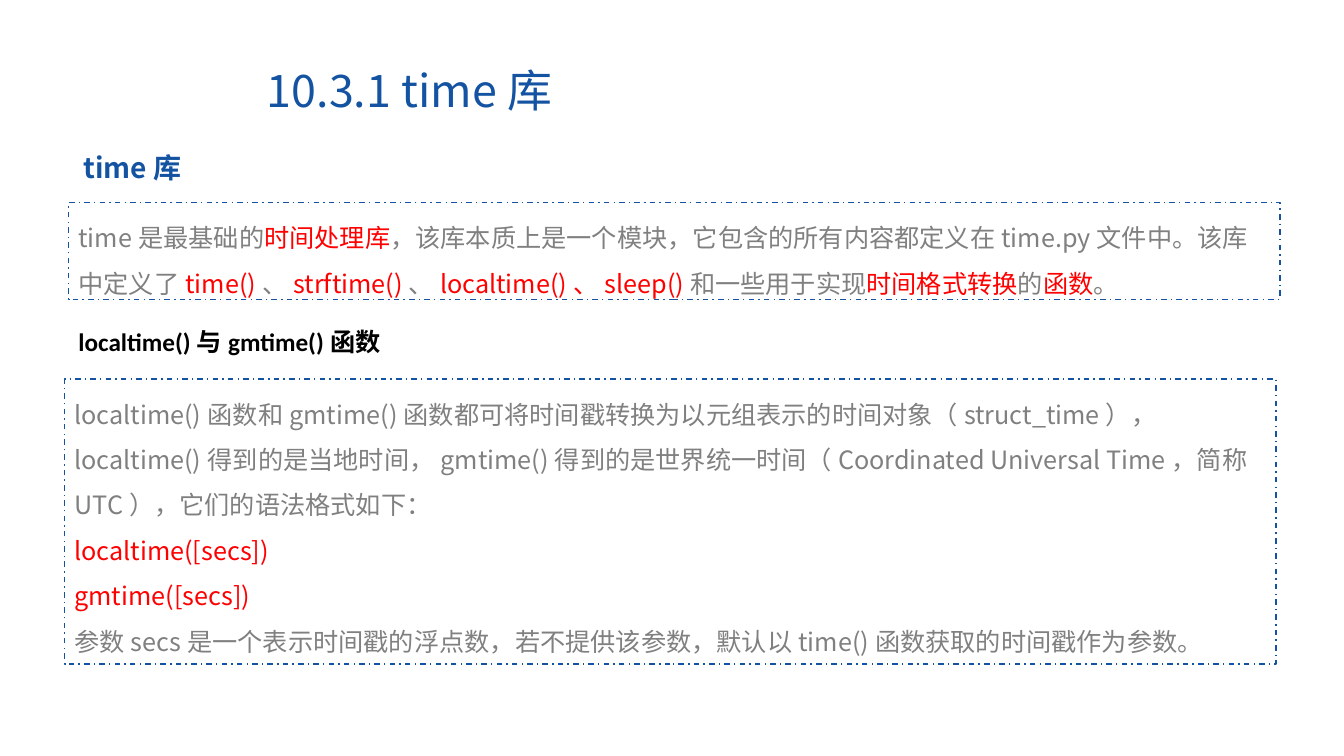
from dataclasses import dataclass

from lxml import etree
from pptx import Presentation
from pptx.dml.color import RGBColor
from pptx.enum.dml import MSO_LINE
from pptx.enum.shapes import MSO_SHAPE
from pptx.enum.text import MSO_ANCHOR, MSO_AUTO_SIZE, PP_ALIGN
from pptx.oxml.ns import qn
from pptx.shapes.autoshape import Shape
from pptx.slide import Slide
from pptx.util import Inches, Pt

DASH_DOT = MSO_LINE.DASH_DOT
RECTANGLE = MSO_SHAPE.RECTANGLE
TOP, MIDDLE = MSO_ANCHOR.TOP, MSO_ANCHOR.MIDDLE
GROW = MSO_AUTO_SIZE.SHAPE_TO_FIT_TEXT
LEFT = PP_ALIGN.LEFT

SLIDE_WIDTH, SLIDE_HEIGHT = Inches(13.33), Inches(7.5)
COLUMNS, ROWS = 160, 90
COLORS = {"blue": "1353A2", "grey": "808080", "red": "FF0000", "black": "000000"}
CHINESE_FONT = "Noto Sans CJK SC"
HIGHLIGHT_MARK = "|"


@dataclass(frozen=True)
class Area:
    """A place on the slide grid, in columns and rows."""

    column: float
    row: float
    columns: float
    rows: float


@dataclass(frozen=True)
class Heading:
    """A line of text with its format."""

    area: Area
    text: str
    size: int
    color: str = "blue"
    bold: bool = True
    font: str = CHINESE_FONT
    spacing: float = 1.5
    anchor: MSO_ANCHOR = TOP


@dataclass(frozen=True)
class Panel:
    """A dashed frame whose paragraphs mark highlights with bars."""

    area: Area
    paragraphs: tuple[str, ...]


HEADINGS = (
    Heading(Area(30.6, 7.56, 109.7, 7.08), "10.3.1 time库", 32,
            bold=False, spacing=0.9, anchor=MIDDLE),
    Heading(Area(8.76, 15.36, 59.04, 6.6), "time库", 20),
    Heading(Area(8.16, 36.48, 59.04, 6), "localtime()与gmtime()函数", 18,
            color="black", font="Calibri"),
)
PANELS = (
    Panel(Area(8.16, 24.12, 144.24, 11.52), (
        "time是最基础的|时间处理库|，该库本质上是一个模块，它包含的所有内容都定义在time.py文件中。"
        "该库中定义了|time()|、|strftime()|、|localtime()、sleep()|和一些用于实现"
        "|时间格式转换|的|函数|。",
    )),
    Panel(Area(7.68, 45.12, 144.24, 33.96), (
        "localtime()函数和gmtime()函数都可将时间戳转换为以元组表示的时间对象（struct_time），"
        "localtime()得到的是当地时间，gmtime()得到的是世界统一时间"
        "（Coordinated Universal Time，简称UTC），它们的语法格式如下：",
        "|localtime([secs])|",
        "|gmtime([secs])|",
        "参数secs是一个表示时间戳的浮点数，若不提供该参数，默认以time()函数获取的时间戳作为参数。",
    )),
)


def place(area: Area) -> tuple[int, int, int, int]:
    """Turn grid units into slide lengths."""
    column, row = SLIDE_WIDTH / COLUMNS, SLIDE_HEIGHT / ROWS
    return (round(area.column * column), round(area.row * row),
            round(area.columns * column), round(area.rows * row))


def write_text(shape: Shape, paragraphs: tuple[str, ...], *, size: int, color: str,
               bold: bool = False, font: str = CHINESE_FONT, spacing: float = 1.5,
               anchor: MSO_ANCHOR = TOP) -> None:
    """Fill a shape with paragraphs, colouring the marked parts red."""
    frame = shape.text_frame
    frame.word_wrap = True
    frame.auto_size = GROW
    frame.vertical_anchor = anchor
    for index, text in enumerate(paragraphs):
        paragraph = frame.add_paragraph() if index else frame.paragraphs[0]
        paragraph.alignment = LEFT
        paragraph.line_spacing = spacing
        for position, part in enumerate(text.split(HIGHLIGHT_MARK)):
            if not part:
                continue
            run = paragraph.add_run()
            run.text = part
            run.font.size = Pt(size)
            run.font.bold = bold
            run_color = "red" if position % 2 else color
            run.font.color.rgb = RGBColor.from_string(COLORS[run_color])
            run.font.name = font
            properties = run._r.get_or_add_rPr()
            etree.SubElement(properties, qn("a:ea"), typeface=CHINESE_FONT)


def draw_heading(slide: Slide, heading: Heading) -> None:
    """Add a heading as a text box."""
    shape = slide.shapes.add_textbox(*place(heading.area))
    write_text(shape, (heading.text,), size=heading.size, color=heading.color,
               bold=heading.bold, font=heading.font, spacing=heading.spacing,
               anchor=heading.anchor)


def draw_panel(slide: Slide, panel: Panel) -> None:
    """Add a dash-dot frame with its text."""
    shape = slide.shapes.add_shape(RECTANGLE, *place(panel.area))
    shape.shadow.inherit = False
    shape.fill.background()
    shape.line.color.rgb = RGBColor.from_string(COLORS["blue"])
    shape.line.width = Pt(1)
    shape.line.dash_style = DASH_DOT
    write_text(shape, panel.paragraphs, size=18, color="grey")


def main() -> None:
    """Build and save the slide."""
    presentation = Presentation()
    presentation.slide_width, presentation.slide_height = SLIDE_WIDTH, SLIDE_HEIGHT
    slide = presentation.slides.add_slide(presentation.slide_layouts[6])
    for heading in HEADINGS:
        draw_heading(slide, heading)
    for panel in PANELS:
        draw_panel(slide, panel)
    presentation.save("out.pptx")


if __name__ == "__main__":
    main()
